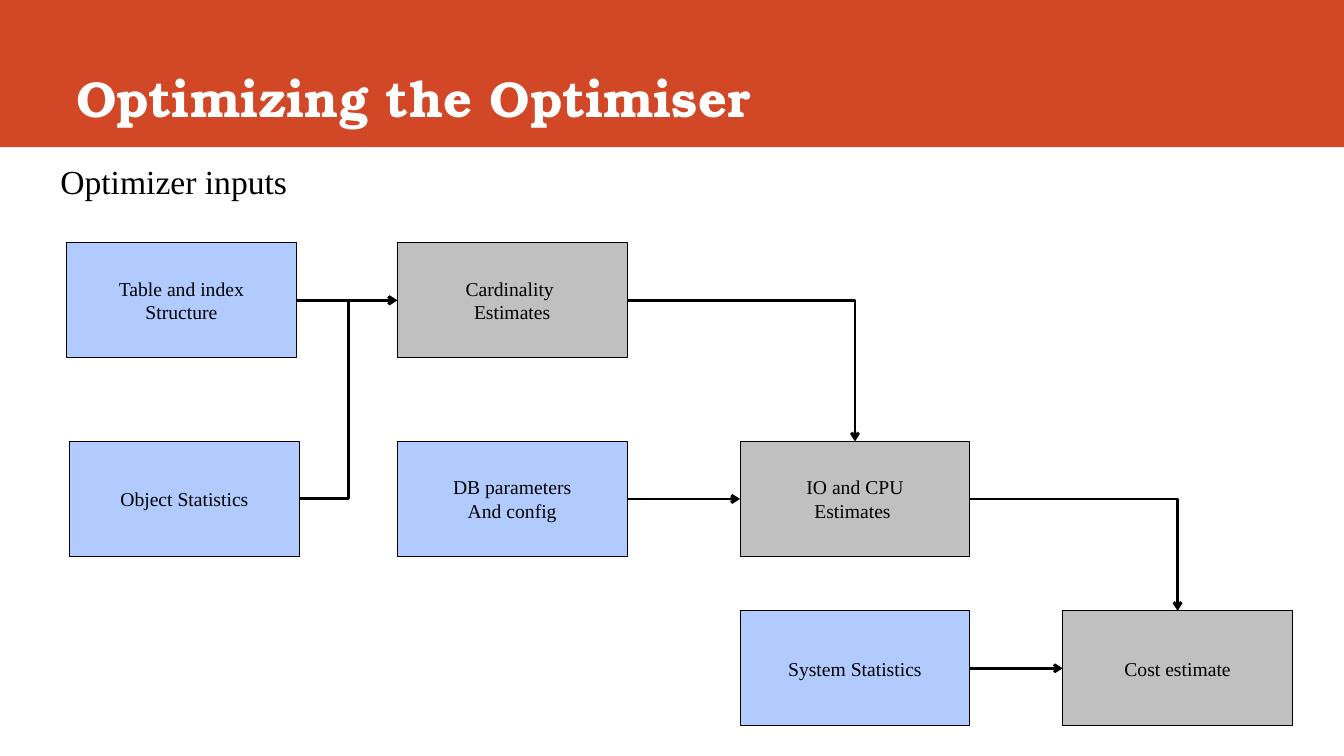
from lxml import etree
from pptx import Presentation
from pptx.dml.color import RGBColor
from pptx.enum.shapes import MSO_CONNECTOR, MSO_SHAPE
from pptx.enum.text import MSO_ANCHOR, MSO_AUTO_SIZE, PP_ALIGN
from pptx.oxml.ns import qn
from pptx.util import Inches, Pt

RECTANGLE = MSO_SHAPE.RECTANGLE
STRAIGHT, ELBOW = MSO_CONNECTOR.STRAIGHT, MSO_CONNECTOR.ELBOW
LEFT, CENTER = PP_ALIGN.LEFT, PP_ALIGN.CENTER
TOP, MIDDLE, BOTTOM = MSO_ANCHOR.TOP, MSO_ANCHOR.MIDDLE, MSO_ANCHOR.BOTTOM
NO_AUTOFIT = MSO_AUTO_SIZE.NONE
TOP_SITE, LEFT_SITE, RIGHT_SITE = 0, 1, 3

BAND_RED = RGBColor(0xD2, 0x47, 0x26)
INPUT_BLUE = RGBColor(0xB1, 0xCB, 0xFF)
ESTIMATE_GREY = RGBColor(0xC0, 0xC0, 0xC0)
BLACK = RGBColor(0, 0, 0)
WHITE = RGBColor(0xFF, 0xFF, 0xFF)

SLIDE_WIDTH, SLIDE_HEIGHT = 13.33, 7.5
COLUMNS = (0.66, 3.94, 7.34, 10.54)
ROWS = (2.41, 4.38, 6.06)
BOX_SIZE = (2.28, 1.14)

TITLE_FONT = {"name": "TeX Gyre Bonum", "size": Pt(36), "bold": True}
HEADING_FONT = {"name": "Times New Roman", "size": Pt(24)}
BOX_FONT = {"name": "Times New Roman", "size": Pt(14)}

# key: (lines, column, row, fill, shift to the right)
BOXES = {
    "structure": (("Table and index", "Structure"), 0, 0, INPUT_BLUE, 0),
    "objects": (("Object Statistics",), 0, 1, INPUT_BLUE, 0.03),
    "cardinality": (("Cardinality ", "Estimates"), 1, 0, ESTIMATE_GREY, 0),
    "parameters": (("DB parameters", "And config"), 1, 1, INPUT_BLUE, 0),
    "io_cpu": (("IO and CPU", "Estimates "), 2, 1, ESTIMATE_GREY, 0),
    "system": (("System Statistics",), 2, 2, INPUT_BLUE, 0),
    "cost": (("Cost estimate",), 3, 2, ESTIMATE_GREY, 0),
}

# start box, end box, side entered, preset outline
FLOWS = (
    ("structure", "cardinality", LEFT_SITE, "line"),
    ("objects", "cardinality", LEFT_SITE, "bentConnector3"),
    ("cardinality", "io_cpu", TOP_SITE, "bentConnector2"),
    ("parameters", "io_cpu", LEFT_SITE, "line"),
    ("io_cpu", "cost", TOP_SITE, "bentConnector2"),
    ("system", "cost", LEFT_SITE, "line"),
)


def set_all(target, values):
    for attribute, value in values.items():
        setattr(target, attribute, value)


class FlowSlide:
    def __init__(self, presentation):
        self.slide = presentation.slides.add_slide(presentation.slide_layouts[5])
        self.shapes = self.slide.shapes

    def fill_text(self, shape, lines, font, color, align, anchor, wrap):
        frame = shape.text_frame
        set_all(frame, {
            "text": "\n".join(lines), "auto_size": NO_AUTOFIT,
            "word_wrap": wrap, "vertical_anchor": anchor,
            "margin_left": Inches(0.1), "margin_right": Inches(0.1),
            "margin_top": Inches(0.05), "margin_bottom": Inches(0.05),
        })
        for paragraph in frame.paragraphs:
            paragraph.alignment = align
            for run in paragraph.runs:
                set_all(run.font, font)
                run.font.color.rgb = color

    def rectangle(self, left, top, width, height, fill):
        rectangle = self.shapes.add_shape(
            RECTANGLE, *map(Inches, (left, top, width, height)))
        rectangle.shadow.inherit = False
        rectangle.fill.solid()
        rectangle.fill.fore_color.rgb = fill
        return rectangle

    def band(self, height):
        """Draw the header band behind everything else."""
        band = self.rectangle(0, 0, SLIDE_WIDTH, height, BAND_RED)
        band.line.fill.background()
        self.shapes.element.insert(2, band.element)

    def title(self, text):
        title = self.shapes.title
        set_all(title, {"left": Inches(0.66), "top": 0,
                        "width": Inches(11.75), "height": Inches(1.32)})
        self.fill_text(title, (text,), TITLE_FONT, WHITE, LEFT, BOTTOM, True)

    def heading(self, text):
        heading = self.shapes.add_textbox(
            *map(Inches, (0.5, 1.55, 3.96, 0.5)))
        self.fill_text(heading, (text,), HEADING_FONT, BLACK, LEFT, TOP, False)

    def box(self, lines, column, row, fill, shift):
        box = self.rectangle(
            COLUMNS[column] + shift, ROWS[row], *BOX_SIZE, fill)
        box.line.color.rgb = BLACK
        box.line.width = Pt(0.75)
        self.fill_text(box, lines, BOX_FONT, BLACK, CENTER, MIDDLE, False)
        return box

    def arrow(self, start, end, site, outline):
        """Join the right side of start to the given side of end."""
        kind = STRAIGHT if outline == "line" else ELBOW
        arrow = self.shapes.add_connector(kind, 0, 0, 0, 0)
        arrow.begin_connect(start, RIGHT_SITE)
        arrow.end_connect(end, site)
        arrow.line.color.rgb = BLACK
        arrow.line.width = Pt(2)
        properties = arrow.element.spPr
        properties.find(qn("a:prstGeom")).set("prst", outline)
        etree.SubElement(properties.find(qn("a:ln")), qn("a:tailEnd"), type="arrow")
        etree.SubElement(properties, qn("a:effectLst"))


def main():
    presentation = Presentation()
    presentation.slide_width = Inches(SLIDE_WIDTH)
    presentation.slide_height = Inches(SLIDE_HEIGHT)
    flow = FlowSlide(presentation)
    flow.band(1.46)
    flow.title("Optimizing the Optimiser")
    flow.heading("Optimizer inputs")
    boxes = {key: flow.box(*details) for key, details in BOXES.items()}
    for start, end, site, outline in FLOWS:
        flow.arrow(boxes[start], boxes[end], site, outline)
    presentation.save("out.pptx")


if __name__ == "__main__":
    main()
